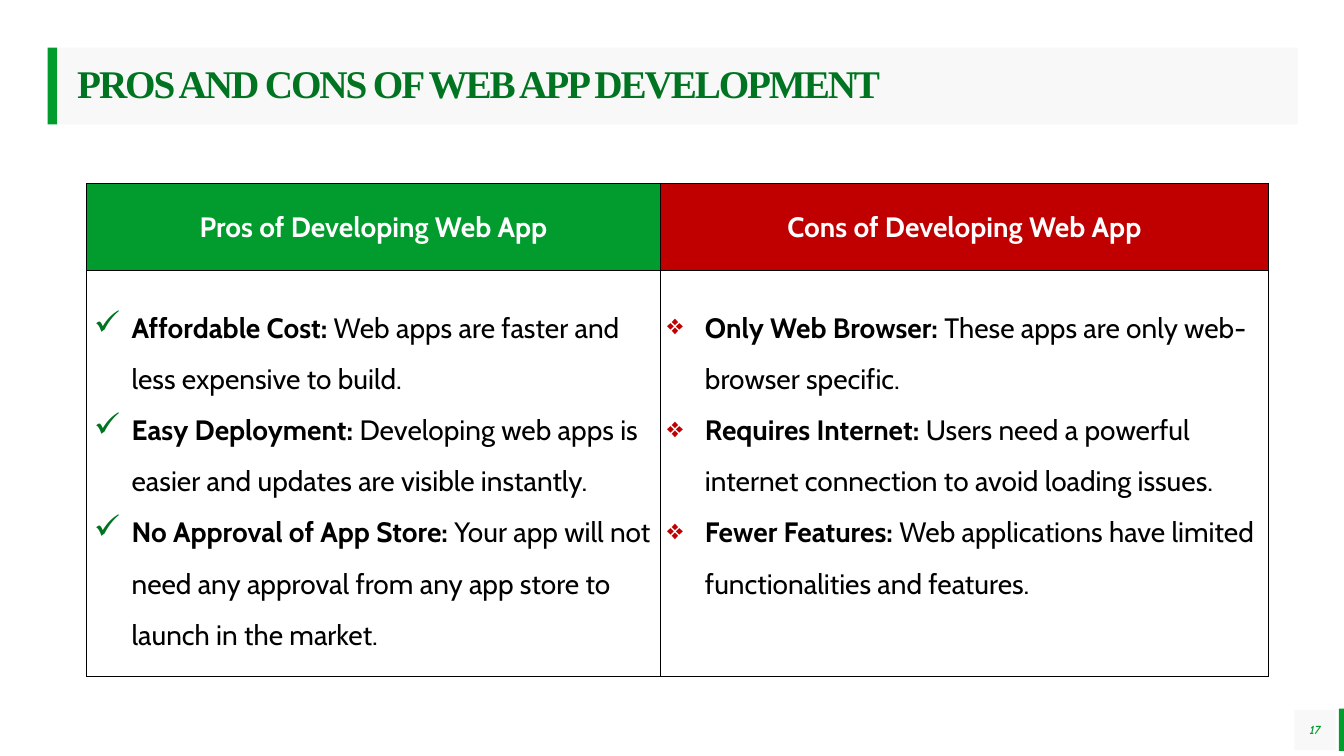
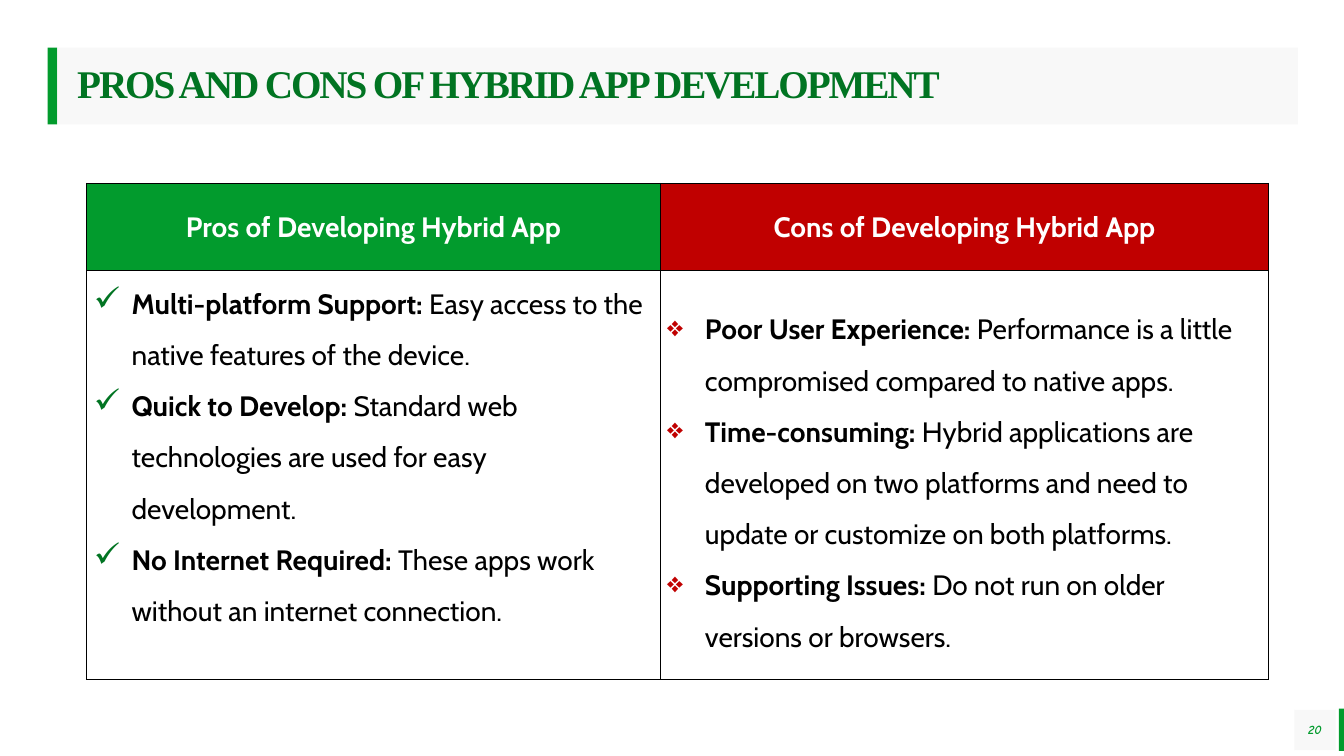
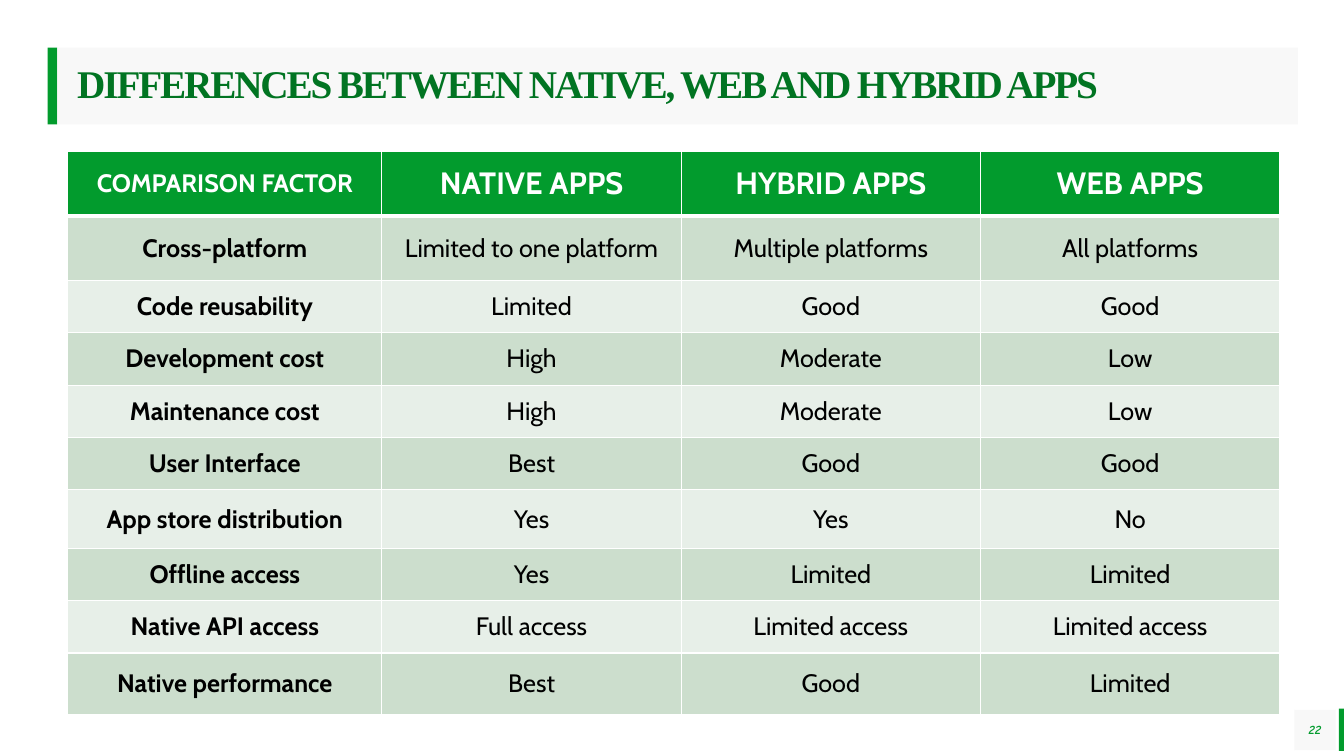
from lxml.etree import SubElement
from pptx import Presentation
from pptx.dml.color import RGBColor
from pptx.enum.shapes import MSO_SHAPE
from pptx.enum.text import MSO_ANCHOR, PP_ALIGN
from pptx.oxml.ns import qn
from pptx.util import Pt

HUES = {
    "green": "029B2D", "deep": "017422", "red": "C00000", "band": "F2F2F2",
    "dark": "CCDECD", "light": "E7EFE8", "white": "FFFFFF", "black": "000000",
}
FONTS = {
    "title": {"name": "Times New Roman", "size": 28, "bold": True, "color": "deep"},
    "number": {"name": "Comic Neue", "size": 9, "bold": True, "italic": True,
               "color": "green"},
    "head": {"name": "Cabin", "size": 20, "bold": True, "color": "white"},
    "label": {"name": "Cabin", "size": 20, "bold": True, "color": "black"},
    "body": {"name": "Cabin", "size": 20, "bold": False, "color": "black"},
}
# bullet sign, bullet colour, bullet size in percent, heading fill
SIDES = [("✓", "deep", 120, "green"), ("❖", "red", 100, "red")]
LINE = 36.5  # height of one body line

DEBATES = [
    {
        "number": 17,
        "title": "PROS AND CONS OF WEB APP DEVELOPMENT",
        "heads": ["Pros of Developing Web App", "Cons of Developing Web App"],
        "pads": [0, LINE],
        "points": [
            [("Affordable Cost:", "Web apps are faster and less expensive to build."),
             ("Easy Deployment:", "Developing web apps is easier and updates are "
              "visible instantly."),
             ("No Approval of App Store:", "Your app will not need any approval "
              "from any app store to launch in the market.")],
            [("Only Web Browser:", "These apps are only web-browser specific."),
             ("Requires Internet:", "Users need a powerful internet connection to "
              "avoid loading issues."),
             ("Fewer Features:", "Web applications have limited functionalities "
              "and features.")],
        ],
    },
    {
        "number": 20,
        "title": "PROS AND CONS OF HYBRID APP DEVELOPMENT",
        "heads": ["Pros of Developing Hybrid App", "Cons of Developing Hybrid App"],
        "pads": [LINE, 0],
        "points": [
            [("Multi-platform Support:", "Easy access to the native features of "
              "the device."),
             ("Quick to Develop:", "Standard web technologies are used for easy "
              "development."),
             ("No Internet Required:", "These apps work without an internet "
              "connection.")],
            [("Poor User Experience:", "Performance is a little compromised "
              "compared to native apps."),
             ("Time-consuming:", "Hybrid applications are developed on two "
              "platforms and need to update or customize on both platforms."),
             ("Supporting Issues:", "Do not run on older versions or browsers.")],
        ],
    },
]
MATRIX = {
    "number": 22,
    "title": "DIFFERENCES BETWEEN NATIVE, WEB AND HYBRID APPS",
    "rows": [
        ("COMPARISON FACTOR", "NATIVE APPS", "HYBRID APPS", "WEB APPS"),
        ("Cross-platform", "Limited to one platform", "Multiple platforms",
         "All platforms"),
        ("Code reusability", "Limited", "Good", "Good"),
        ("Development cost", "High", "Moderate", "Low"),
        ("Maintenance cost", "High", "Moderate", "Low"),
        ("User Interface", "Best", "Good", "Good"),
        ("App store distribution", "Yes", "Yes", "No"),
        ("Offline access", "Yes", "Limited", "Limited"),
        ("Native API access", "Full access", "Limited access", "Limited access"),
        ("Native performance", "Best", "Good", "Limited"),
    ],
    "heights": [46, 46] + [37.4] * 4 + [41.8] + [37.4] * 2 + [44],
}


def rgb(hue):
    return RGBColor.from_string(HUES[hue])


def write(para, text, style, **extra):
    run = para.add_run()
    run.text = text
    for key, value in {**FONTS[style], **extra}.items():
        if key == "color":
            run.font.color.rgb = rgb(value)
        else:
            setattr(run.font, key, Pt(value) if key == "size" else value)
    return run


def inset(item, left, top, right, bottom):
    """Set the margins of a cell or text frame."""
    sides = {"left": left, "top": top, "right": right, "bottom": bottom}
    for side, size in sides.items():
        setattr(item, "margin_" + side, Pt(size))
    item.vertical_anchor = MSO_ANCHOR.MIDDLE


def block(slide, box, hue, alpha=None):
    shape = slide.shapes.add_shape(MSO_SHAPE.RECTANGLE, *map(Pt, box))
    shape.shadow.inherit = False
    shape.line.fill.background()
    shape.fill.solid()
    shape.fill.fore_color.rgb = rgb(hue)
    if alpha:
        tint = shape.fill._xPr.find(".//" + qn("a:srgbClr"))
        SubElement(tint, qn("a:alpha"), val=str(alpha * 1000))
    return shape


def panel(slide, box, text, style, align, left=0):
    """Add a pale block with one line of text and return its run."""
    frame = block(slide, box, "band", 50).text_frame
    frame.word_wrap = True
    inset(frame, left, 0, 0, 0)
    para = frame.paragraphs[0]
    para.alignment = align
    para.line_spacing = 0.9 if style == "title" else 1.0
    return write(para, text, style)


def start(deck, data):
    """Add a slide with the shared title band and page number."""
    slide = deck.slides.add_slide(deck.slide_layouts[6])
    block(slide, (34, 34, 6.8, 54.8), "green")
    block(slide, (956.3, 506.2, 3.7, 30.2), "green")
    panel(slide, (924.5, 507, 29.5, 28.8), str(data["number"]), "number",
          PP_ALIGN.CENTER)
    run = panel(slide, (40.8, 34, 886.4, 54.8), data["title"], "title",
                PP_ALIGN.LEFT, 14.4)
    run.font._element.set("spc", "-150")
    return slide


def grid(slide, left, top, widths, heights):
    table = slide.shapes.add_table(
        len(heights), len(widths),
        *map(Pt, (left, top, sum(widths), sum(heights)))).table
    table.first_row = table.horz_banding = False
    for col, width in zip(table.columns, widths):
        col.width = Pt(width)
    for row, height in zip(table.rows, heights):
        row.height = Pt(height)
    return table


def dress(cell, fill, line, widths):
    """Draw the borders of a cell, keyed by side, then its fill."""
    props = cell._tc.get_or_add_tcPr()
    for side, width in widths.items():
        edge = SubElement(props, qn("a:ln" + side), w=str(Pt(width)))
        paint = SubElement(edge, qn("a:solidFill"))
        SubElement(paint, qn("a:srgbClr"), val=HUES[line])
    if fill:
        cell.fill.solid()
        cell.fill.fore_color.rgb = rgb(fill)
    else:
        cell.fill.background()


def bullet(para, sign, hue, size):
    props = para._p.get_or_add_pPr()
    indent = Pt(27)
    props.set("marL", str(indent))
    props.set("indent", str(-indent))
    paint = SubElement(props, qn("a:buClr"))
    SubElement(paint, qn("a:srgbClr"), val=HUES[hue])
    SubElement(props, qn("a:buSzPct"), val=str(size * 1000))
    SubElement(props, qn("a:buChar"), char=sign)


def debate(deck, data):
    table = grid(start(deck, data), 62, 131, [409.6, 434.6], [62, 290])
    edges = dict.fromkeys("LRTB", 1)
    for col, (sign, hue, size, fill) in enumerate(SIDES):
        head, body = table.cell(0, col), table.cell(1, col)
        dress(head, fill, "black", edges)
        inset(head, 5, 0, 5, 0)
        para = head.text_frame.paragraphs[0]
        para.alignment = PP_ALIGN.CENTER
        para.line_spacing = 1.07
        write(para, data["heads"][col], "head")

        dress(body, None, "black", edges)
        inset(body, 5, 0, 5, data["pads"][col])
        frame = body.text_frame
        for i, (label, text) in enumerate(data["points"][col]):
            para = frame.add_paragraph() if i else frame.paragraphs[0]
            para.line_spacing = 1.5
            bullet(para, sign, hue, size)
            write(para, label, "label")
            write(para, " " + text, "body")


def matrix(deck, data):
    table = grid(start(deck, data), 48.4, 108.4, [224.4] + [213.8] * 3,
                 data["heights"])
    for r, row in enumerate(data["rows"]):
        for c, text in enumerate(row):
            cell = table.cell(r, c)
            if r == 0:
                fill, style, size = "green", "head", 22 if c else 18
                edges = {"L": 1, "R": 1, "T": 1, "B": 3}
            else:
                fill = "dark" if r % 2 else "light"
                style, size = "body" if c else "label", 18
                edges = {"L": 1, "R": 1, "B": 1}
            dress(cell, fill, "white", edges)
            inset(cell, 7.2, 7.2, 7.2, 7.2)
            para = cell.text_frame.paragraphs[0]
            para.alignment = PP_ALIGN.CENTER
            write(para, text, style, size=size)


def main():
    deck = Presentation()
    deck.slide_width, deck.slide_height = Pt(960), Pt(540)
    for data in DEBATES:
        debate(deck, data)
    matrix(deck, MATRIX)
    deck.save("out.pptx")


if __name__ == "__main__":
    main()
